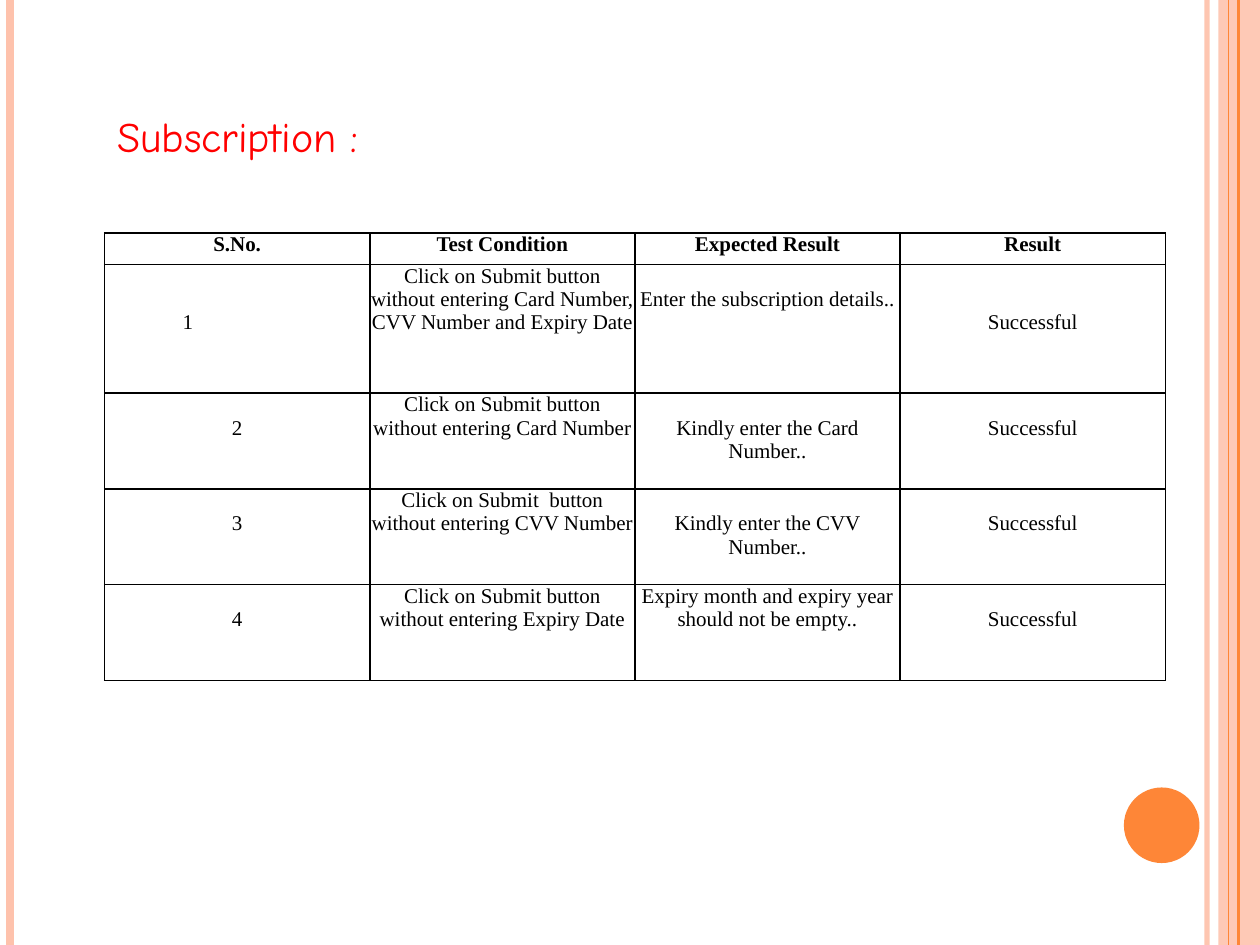
from dataclasses import dataclass

from lxml.etree import SubElement
from pptx import Presentation
from pptx.dml.color import RGBColor
from pptx.enum.shapes import MSO_CONNECTOR, MSO_SHAPE
from pptx.enum.text import MSO_ANCHOR, MSO_AUTO_SIZE, PP_ALIGN
from pptx.oxml.ns import qn
from pptx.slide import Slide
from pptx.table import _Cell
from pptx.text.text import TextFrame
from pptx.util import Inches, Pt

COLORS = {"peach": "FEC2AC", "orange": "FE8637", "red": "FF0000", "black": "000000"}
BODY_FONT = "Times New Roman"
LINE_HEIGHT = 0.185


@dataclass
class Stripe:
    x: float
    color: str
    width: float
    opacity: int = 100


@dataclass
class Entry:
    text: str
    lines_down: int = 0
    indent: float = 0


STRIPES = [
    Stripe(9.58, "peach", 3, 93),
    Stripe(0.08, "peach", 4.5),
    Stripe(9.83, "orange", 1.5),
    Stripe(9.75, "orange", 0.75),
]
ROW_HEIGHTS = [0.25, 1.02, 0.76, 0.76, 0.76]
ROWS = [
    [Entry("S.No."), Entry("Test Condition"), Entry("Expected Result"), Entry("Result")],
    [
        Entry("1", 2, 0.62),
        Entry("Click on Submit button without entering Card Number, CVV Number and Expiry Date"),
        Entry("Enter the subscription details..", 1),
        Entry("Successful", 2),
    ],
    [
        Entry("2", 1),
        Entry("Click on Submit button without entering Card Number"),
        Entry("Kindly enter the Card Number..", 1),
        Entry("Successful", 1),
    ],
    [
        Entry("3", 1),
        Entry("Click on Submit  button without entering CVV Number"),
        Entry("Kindly enter the CVV Number..", 1),
        Entry("Successful", 1),
    ],
    [
        Entry("4", 1),
        Entry("Click on Submit button without entering Expiry Date"),
        Entry("Expiry month and expiry year should not be empty.."),
        Entry("Successful", 1),
    ],
]


def rgb(name: str) -> RGBColor:
    return RGBColor.from_string(COLORS[name])


def set_opacity(element, percent: int) -> None:
    if percent < 100:
        color = next(element.iter(qn("a:srgbClr")))
        SubElement(color, qn("a:alpha"), val=str(percent * 1000))


def write(frame: TextFrame, text: str, *, font: str, size: float, color: str,
          bold: bool = False, align: PP_ALIGN = PP_ALIGN.LEFT) -> None:
    paragraph = frame.paragraphs[0]
    paragraph.alignment = align
    span = paragraph.add_run()
    span.text = text
    span.font.name = font
    span.font.size = Pt(size)
    span.font.bold = bold
    span.font.color.rgb = rgb(color)


def draw_stripe(page: Slide, stripe: Stripe) -> None:
    x = Inches(stripe.x)
    line = page.shapes.add_connector(MSO_CONNECTOR.STRAIGHT, x, 0, x, Inches(7.5))
    line.line.color.rgb = rgb(stripe.color)
    line.line.width = Pt(stripe.width)
    properties = line._element.spPr
    set_opacity(properties, stripe.opacity)
    SubElement(properties, qn("a:effectLst"))


def draw_shape(page: Slide, kind: MSO_SHAPE, place: tuple, color: str,
               opacity: int = 100) -> None:
    shape = page.shapes.add_shape(kind, *map(Inches, place))
    shape.shadow.inherit = False
    shape.fill.solid()
    shape.fill.fore_color.rgb = rgb(color)
    shape.line.fill.background()
    set_opacity(shape._element.spPr, opacity)


def set_borders(cell: _Cell) -> None:
    properties = cell._tc.get_or_add_tcPr()
    for position, side in enumerate(("lnL", "lnR", "lnT", "lnB")):
        border = properties.makeelement(qn(f"a:{side}"), {"w": str(Pt(1))})
        fill = SubElement(border, qn("a:solidFill"))
        SubElement(fill, qn("a:srgbClr"), val=COLORS["black"])
        properties.insert(position, border)


def fill_cell(cell: _Cell, entry: Entry, header: bool) -> None:
    cell.fill.background()
    set_borders(cell)
    cell.margin_left = Inches(entry.indent)
    cell.margin_top = Inches(entry.lines_down * LINE_HEIGHT)
    cell.margin_right = cell.margin_bottom = 0
    cell.vertical_anchor = MSO_ANCHOR.TOP
    align = PP_ALIGN.LEFT if entry.indent else PP_ALIGN.CENTER
    write(cell.text_frame, entry.text, font=BODY_FONT, size=12, color="black",
          bold=header, align=align)


def draw_table(page: Slide) -> None:
    table = page.shapes.add_table(
        len(ROWS), len(ROWS[0]), Inches(0.83), Inches(1.85), Inches(8.42), Inches(3.55)
    ).table
    table.horz_banding = False
    for index, (entries, height) in enumerate(zip(ROWS, ROW_HEIGHTS)):
        table.rows[index].height = Inches(height)
        for column, entry in enumerate(entries):
            fill_cell(table.cell(index, column), entry, header=index == 0)


def draw_title(page: Slide, text: str) -> None:
    title = page.shapes.title
    title.left, title.top, title.width, title.height = map(Inches, (0.88, 0.83, 2.57, 0.56))
    frame = title.text_frame
    frame.word_wrap = True
    frame.auto_size = MSO_AUTO_SIZE.NONE
    frame.vertical_anchor = MSO_ANCHOR.TOP
    frame.margin_left = frame.margin_right = Inches(0.05)
    frame.margin_top = frame.margin_bottom = Inches(0.05)
    write(frame, text, font="Comic Neue", size=24, color="red")


def main() -> None:
    deck = Presentation()
    deck.slide_width, deck.slide_height = Inches(10), Inches(7.5)
    page = deck.slides.add_slide(deck.slide_layouts[5])
    draw_shape(page, MSO_SHAPE.RECTANGLE, (9.67, 0, 0.33, 7.5), "peach", 87)
    for stripe in STRIPES:
        draw_stripe(page, stripe)
    draw_shape(page, MSO_SHAPE.OVAL, (8.92, 6.25, 0.6, 0.6), "orange")
    draw_title(page, "Subscription :")
    draw_table(page)
    deck.save("out.pptx")


if __name__ == "__main__":
    main()
